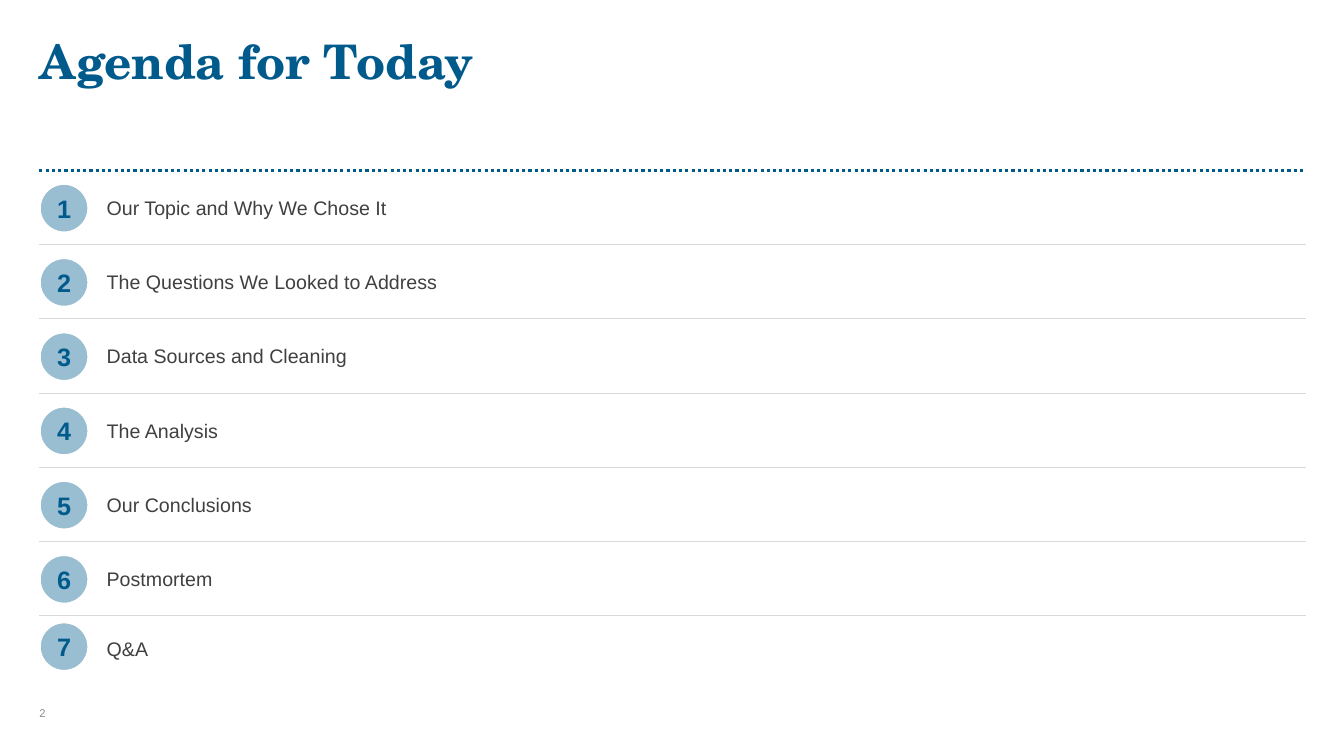
from dataclasses import dataclass

from pptx import Presentation
from pptx.dml.color import RGBColor
from pptx.enum.dml import MSO_LINE
from pptx.enum.shapes import MSO_CONNECTOR, MSO_SHAPE
from pptx.enum.text import MSO_ANCHOR, MSO_AUTO_SIZE, PP_ALIGN
from pptx.oxml.ns import qn
from pptx.util import Inches, Pt

COLORS = {
    "navy": "005A8C",
    "sky": "99BDD1",
    "rule": "D9D9D9",
    "body": "404040",
    "muted": "8C8C8C",
    "white": "FFFFFF",
}
FLUSH = {"margin_left": 0, "margin_right": 0, "margin_top": 0, "margin_bottom": 0}
LABEL = {"margin_left": Inches(0.1), "margin_right": Inches(0.1),
         "margin_top": 0, "margin_bottom": 0, "vertical_anchor": MSO_ANCHOR.MIDDLE}
TITLE_FONT = {"name": "TeX Gyre Schola", "size": Pt(34), "bold": True}
NUMBER_FONT = {"name": "Arial", "size": Pt(18), "bold": True}
ITEM_FONT = {"name": "Arial", "size": Pt(14)}
PAGE_FONT = {"name": "Arial", "size": Pt(8)}


@dataclass(frozen=True)
class Grid:
    """Agenda columns and rows in inches."""
    left: float = 0.39
    right: float = 12.95
    text_left: float = 0.96
    text_width: float = 11.53
    top: float = 1.69
    bottom: float = 6.11
    rows: int = 6
    badge: float = 0.49

    @property
    def pitch(self) -> float:
        """Return the height of one row."""
        return (self.bottom - self.top) / self.rows

    def row_top(self, row: int) -> float:
        """Return the top edge of a row."""
        return self.top + row * self.pitch


@dataclass(frozen=True)
class Item:
    """One agenda entry with its offsets inside the row."""
    text: str
    badge_dy: float = 0.13
    text_dy: float = 0.0


GRID = Grid()
ITEMS = [
    Item("Our Topic and Why We Chose It"),
    Item("The Questions We Looked to Address"),
    Item("Data Sources and Cleaning"),
    Item("The Analysis"),
    Item("Our Conclusions"),
    Item("Postmortem"),
    Item("Q&A", badge_dy=0.06, text_dy=-0.04),
]


def rgb(name: str) -> RGBColor:
    """Return a named palette colour."""
    return RGBColor.from_string(COLORS[name])


def apply(target, formats: dict) -> None:
    """Set each format value on the target."""
    for key, value in formats.items():
        setattr(target, key, value)


def write(sp, text: str, font: dict, color: str, frame: dict, para: dict) -> None:
    """Fill a shape with one formatted paragraph."""
    tf = sp.text_frame
    apply(tf, {"word_wrap": True, "auto_size": MSO_AUTO_SIZE.NONE, **frame})
    p = tf.paragraphs[0]
    apply(p, para)
    r = p.add_run()
    r.text = text
    apply(r.font, font)
    r.font.color.rgb = rgb(color)


def add_text(s, box: tuple, text: str, font: dict, color: str, frame: dict) -> None:
    """Add a left-aligned text box."""
    sp = s.shapes.add_textbox(*map(Inches, box))
    write(sp, text, font, color, frame, {"alignment": PP_ALIGN.LEFT})


def add_rule(s, y: float, color: str, formats: dict) -> None:
    """Add a full-width horizontal rule."""
    ends = map(Inches, (GRID.left, y, GRID.right, y))
    sp = s.shapes.add_connector(MSO_CONNECTOR.STRAIGHT, *ends)
    sp.line.color.rgb = rgb(color)
    apply(sp.line, formats)
    sp._element.spPr.append(sp._element.makeelement(qn("a:effectLst"), {}))


def add_badge(s, y: float, number: int) -> None:
    """Add a numbered circle."""
    box = map(Inches, (GRID.left, y, GRID.badge, GRID.badge))
    sp = s.shapes.add_shape(MSO_SHAPE.OVAL, *box)
    sp.shadow.inherit = False
    sp.fill.solid()
    sp.fill.fore_color.rgb = rgb("sky")
    sp.line.color.rgb = rgb("white")
    sp.line.width = Pt(2)
    write(sp, str(number), NUMBER_FONT, "navy",
          {"vertical_anchor": MSO_ANCHOR.MIDDLE}, {"alignment": PP_ALIGN.CENTER})


def add_item(s, row: int, item: Item) -> None:
    """Add the rule, circle and label of one agenda row."""
    y = GRID.row_top(row)
    if row:
        add_rule(s, y, "rule", {"width": Pt(0.75)})
    add_badge(s, y + item.badge_dy, row + 1)
    box = (GRID.text_left, y + item.text_dy, GRID.text_width, GRID.pitch)
    add_text(s, box, item.text, ITEM_FONT, "body", LABEL)


def add_title(s, text: str) -> None:
    """Place and fill the title placeholder."""
    sp = s.shapes.title
    apply(sp, {"left": Inches(GRID.left), "top": Inches(0.38),
               "width": Inches(GRID.right - GRID.left), "height": Inches(0.4)})
    write(sp, text, TITLE_FONT, "navy", {**FLUSH, "vertical_anchor": MSO_ANCHOR.TOP},
          {"alignment": PP_ALIGN.LEFT, "line_spacing": 0.9})


def main() -> None:
    """Build and save the agenda slide."""
    prs = Presentation()
    apply(prs, {"slide_width": Inches(13.33), "slide_height": Inches(7.5)})
    s = prs.slides.add_slide(prs.slide_layouts[5])
    add_title(s, "Agenda for Today")
    add_rule(s, GRID.top, "navy",
             {"width": Pt(2.25), "dash_style": MSO_LINE.ROUND_DOT})
    for row, item in enumerate(ITEMS):
        add_item(s, row, item)
    add_text(s, (GRID.left, 6.94, 0.39, 0.2), "2", PAGE_FONT, "muted",
             {**FLUSH, "vertical_anchor": MSO_ANCHOR.BOTTOM})
    prs.save("out.pptx")


main()
